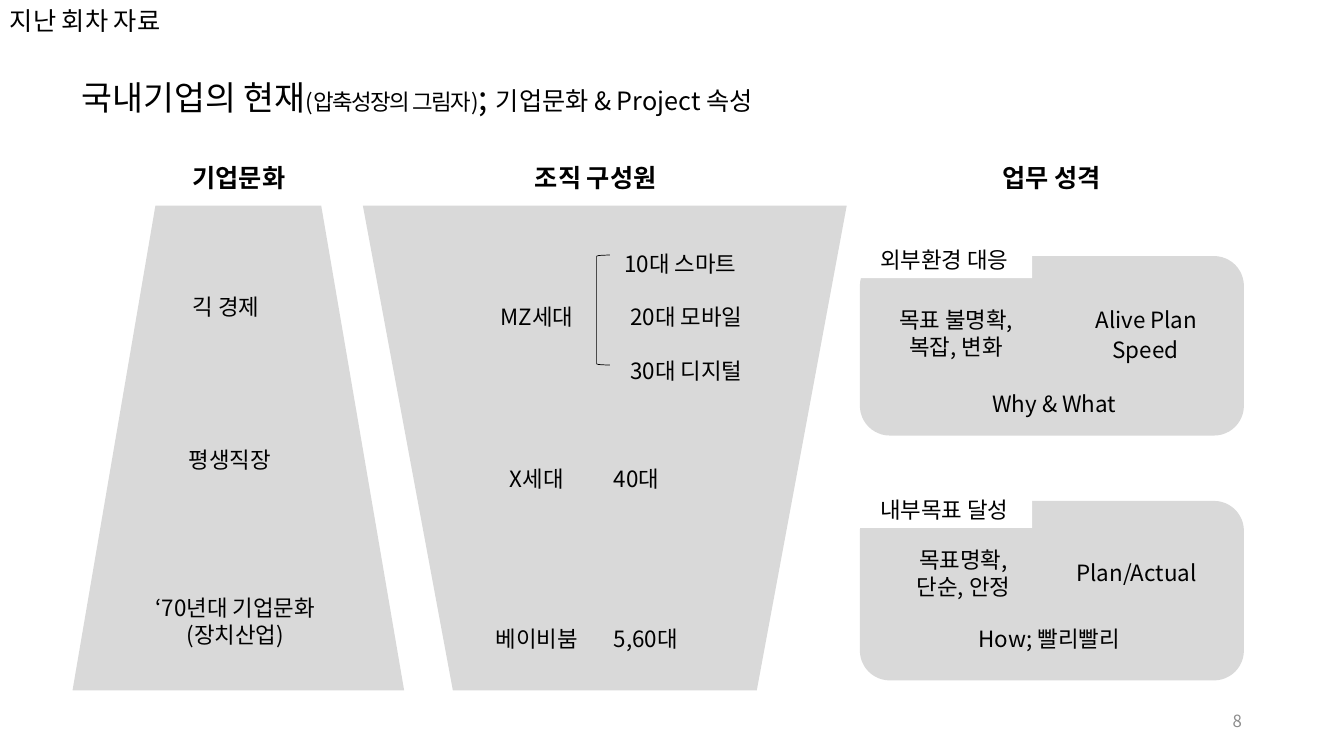
from dataclasses import dataclass

from lxml import etree
from pptx import Presentation
from pptx.dml.color import RGBColor
from pptx.enum.shapes import MSO_SHAPE
from pptx.enum.text import MSO_ANCHOR, MSO_AUTO_SIZE, PP_ALIGN
from pptx.oxml.ns import qn
from pptx.util import Pt

BLACK = RGBColor(0x00, 0x00, 0x00)
WHITE = RGBColor(0xFF, 0xFF, 0xFF)
PANEL_GRAY = RGBColor(0xD9, 0xD9, 0xD9)
NUMBER_GRAY = RGBColor(0x8C, 0x8C, 0x8C)
FONT = "Noto Sans CJK KR"
LINE_FACTOR = 1.2

LEFT, CENTER, RIGHT = PP_ALIGN.LEFT, PP_ALIGN.CENTER, PP_ALIGN.RIGHT
MIDDLE = MSO_ANCHOR.MIDDLE
NO_AUTOSIZE = MSO_AUTO_SIZE.NONE
TRAPEZOID = MSO_SHAPE.TRAPEZOID
ROUNDED = MSO_SHAPE.ROUNDED_RECTANGLE
RECTANGLE = MSO_SHAPE.RECTANGLE
BRACKET = MSO_SHAPE.LEFT_BRACKET


@dataclass
class Panel:
    kind: int
    left: float
    top: float
    width: float
    height: float
    color: RGBColor = PANEL_GRAY
    rotation: float = 0
    adjustment: float | None = None


@dataclass
class Label:
    """Text placed by the centre of its box."""
    text: str
    center_x: float
    center_y: float
    width: float = 140
    size: float = 16
    bold: bool = False
    align: int = CENTER
    color: RGBColor = BLACK


@dataclass
class TitlePart:
    text: str
    size: float
    spacing: int = 0


CARD_TOPS = (182.9, 357.8)
TAB_TOPS = (172.1, 350.6)

PANELS = [
    Panel(TRAPEZOID, 259.2, 146.9, 345.6, 346.3, rotation=180, adjustment=0.186),
    Panel(TRAPEZOID, 51.8, 146.9, 236.9, 346.3),
    *(Panel(ROUNDED, 614.2, top, 274.3, 128.2) for top in CARD_TOPS),
    *(Panel(RECTANGLE, 612, top, 125.3, 26.6, WHITE) for top in TAB_TOPS),
]

HEADINGS = [
    Label(text, center_x, 126.7, size=18, bold=True)
    for text, center_x in (("기업문화", 170.6), ("조직 구성원", 425.5), ("업무 성격", 751))
]

CULTURE = [
    Label("긱 경제", 161.3, 219.3),
    Label("평생직장", 164.2, 328),
    Label("‘70년대 기업문화\n(장치산업)", 168.1, 443.5, 185),
]

MEMBERS = [
    Label("MZ세대", 383.4, 226.4),
    Label("X세대", 383.4, 341.5),
    Label("베이비붐", 383.4, 456),
    Label("10대 스마트", 486, 188),
    Label("20대 모바일", 490.2, 226.4),
    Label("30대 디지털", 490.2, 264.8),
    Label("40대", 471.4, 341.5, 80, align=LEFT),
    Label("5,60대", 471.4, 456, 80, align=LEFT),
]

WORK = [
    Label("외부환경 대응", 674.6, 185.5, 125.3),
    Label("목표 불명확,\n복잡, 변화", 683, 237.8),
    Label("Alive Plan", 818.8, 228),
    Label("Speed", 818.2, 249.5),
    Label("Why & What", 753.1, 288),
    Label("내부목표 달성", 674.6, 364, 125.3),
    Label("목표명확,\n단순, 안정", 688.2, 409.3),
    Label("Plan/Actual", 811.8, 409.3),
    Label("How; 빨리빨리", 749.5, 456),
]

MARGINALIA = [
    Label("지난 회차 자료", 70, 14.4, size=18, align=LEFT),
    Label("8", 786.2, 514.8, 216, 12, align=RIGHT, color=NUMBER_GRAY),
]

TITLE_PARTS = [
    TitlePart("국내기업의 현재", 24),
    TitlePart("(압축성장의 그림자)", 16, -100),
    TitlePart("; ", 24),
    TitlePart("기업문화 & Project 속성", 18),
]


def format_run(run, size: float, color: RGBColor, bold: bool = False) -> None:
    run.font.size = Pt(size)
    run.font.bold = bold
    run.font.color.rgb = color
    run.font.name = FONT
    east_asian = etree.SubElement(run.font._element, qn("a:ea"))
    east_asian.set("typeface", FONT)


def add_panel(slide, panel: Panel) -> None:
    shape = slide.shapes.add_shape(
        panel.kind, Pt(panel.left), Pt(panel.top), Pt(panel.width), Pt(panel.height))
    shape.shadow.inherit = False
    shape.fill.solid()
    shape.fill.fore_color.rgb = panel.color
    shape.line.fill.background()
    shape.rotation = panel.rotation
    if panel.adjustment is not None:
        shape.adjustments[0] = panel.adjustment


def add_label(slide, label: Label) -> None:
    line_height = label.size * LINE_FACTOR
    height = line_height * (label.text.count("\n") + 1) + 7.2
    box = slide.shapes.add_textbox(
        Pt(label.center_x - label.width / 2), Pt(label.center_y - height / 2),
        Pt(label.width), Pt(height))
    text_frame = box.text_frame
    text_frame.word_wrap = True
    text_frame.vertical_anchor = MIDDLE
    text_frame.text = label.text
    for paragraph in text_frame.paragraphs:
        paragraph.alignment = label.align
        paragraph.line_spacing = Pt(line_height)
        for run in paragraph.runs:
            format_run(run, label.size, label.color, label.bold)


def add_title(slide, parts: list[TitlePart]) -> None:
    title = slide.shapes.title
    title.left, title.top, title.width, title.height = Pt(51.1), Pt(51.1), Pt(540), Pt(36)
    text_frame = title.text_frame
    text_frame.auto_size = NO_AUTOSIZE
    text_frame.word_wrap = False
    text_frame.vertical_anchor = MIDDLE
    paragraph = text_frame.paragraphs[0]
    paragraph.alignment = LEFT
    for part in parts:
        run = paragraph.add_run()
        run.text = part.text
        format_run(run, part.size, BLACK)
        run.font._element.set("spc", str(part.spacing))


def add_generation_bracket(slide) -> None:
    bracket = slide.shapes.add_shape(BRACKET, Pt(426.2), Pt(182.2), Pt(9.4), Pt(78.5))
    bracket.shadow.inherit = False
    bracket.fill.background()
    bracket.line.color.rgb = BLACK
    bracket.line.width = Pt(0.5)


def main() -> None:
    presentation = Presentation()
    presentation.slide_width, presentation.slide_height = Pt(960), Pt(540)
    slide = presentation.slides.add_slide(presentation.slide_layouts[5])

    # Background panels and title
    for panel in PANELS:
        add_panel(slide, panel)
    add_title(slide, TITLE_PARTS)

    # Column contents
    add_generation_bracket(slide)
    for label in HEADINGS + CULTURE + MEMBERS + WORK + MARGINALIA:
        add_label(slide, label)

    presentation.save("out.pptx")


if __name__ == "__main__":
    main()
